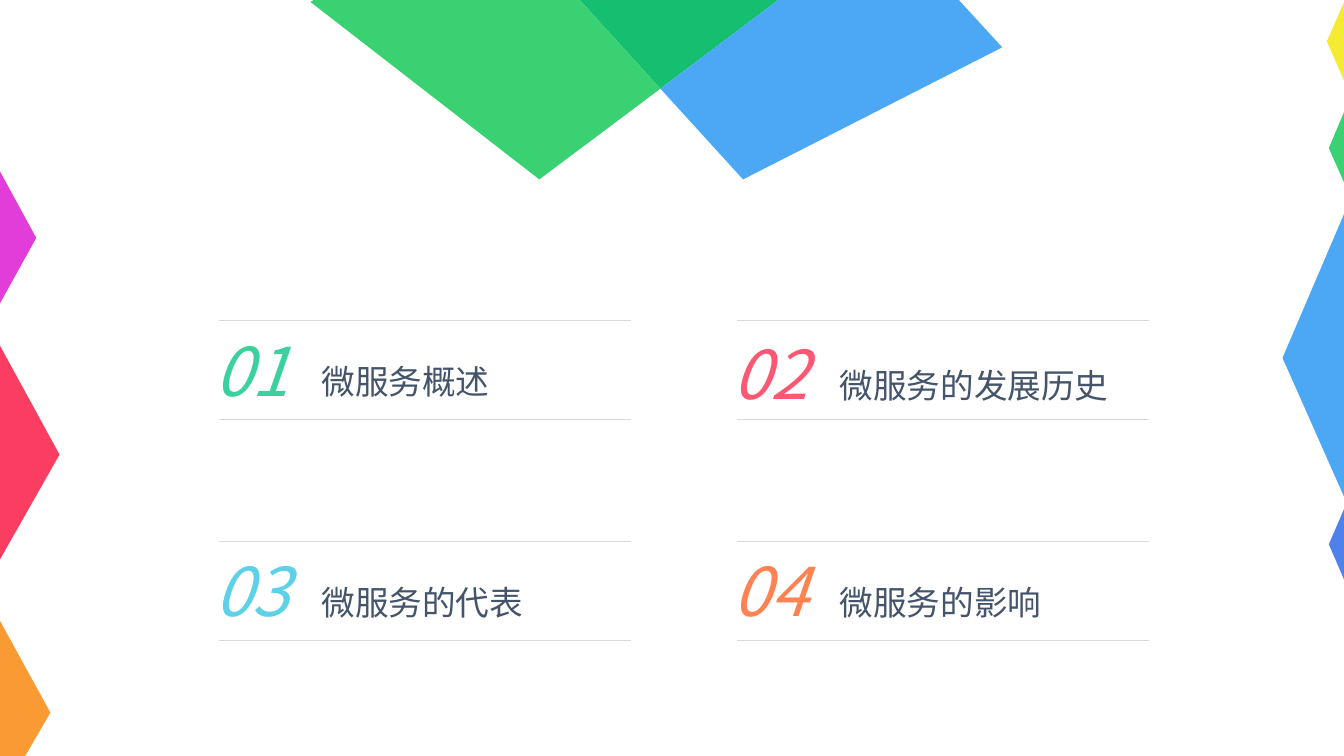
from dataclasses import dataclass

from lxml.etree import SubElement
from pptx import Presentation
from pptx.dml.color import RGBColor
from pptx.enum.shapes import MSO_CONNECTOR
from pptx.enum.text import MSO_AUTO_SIZE
from pptx.oxml.ns import qn
from pptx.util import Pt

PX = 9144


@dataclass(frozen=True)
class Theme:
    font: str = "Noto Sans CJK SC"
    ink: str = "44546A"
    rule: str = "D9D9D9"
    mint: str = "3BD19C"
    rose: str = "FC5874"
    cyan: str = "5DD1E8"
    coral: str = "FF8352"
    red: str = "FA3D60"
    orange: str = "FA9A33"
    purple: str = "E23DD8"
    yellow: str = "F6EB33"
    green: str = "3AD172"
    forest: str = "16BF70"
    blue: str = "4CA8F5"
    navy: str = "4E81E9"
    number: int = 48
    label: int = 24
    thin: float = 0.5


THEME = Theme()

TOPICS = [
    ("01", "微服务概述", THEME.mint, 322, 341),
    ("02", "微服务的发展历史", THEME.rose, 325, 345),
    ("03", "微服务的代表", THEME.cyan, 540, 560),
    ("04", "微服务的影响", THEME.coral, 540, 560),
]
LEFT, TOP = 217, 318
COL, ROW = 514, 219
WIDTH, HEIGHT = 409, 98

SHARDS = [
    (THEME.red, [(0, 343), (59, 451), (0, 555)]),
    (THEME.orange, [(0, 616), (50, 707), (25, 750), (0, 750)]),
    (THEME.purple, [(0, 170), (36, 236), (0, 301)]),
    (THEME.yellow, [(1334, 0), (1334, 82), (1316, 41)]),
    (THEME.green, [(1334, 109), (1334, 183), (1318, 147)]),
    (THEME.navy, [(1334, 503), (1334, 577), (1318, 540)]),
    (THEME.blue, [(1334, 210), (1334, 495), (1272, 355)]),
    (THEME.forest, [(772, 0), (655, 88), (575, 0)]),
    (THEME.green, [(311, 0), (575, 0), (655, 88), (535, 178), (308, 2)]),
    (THEME.blue, [(951, 0), (994, 47), (737, 178), (655, 88), (772, 0)]),
]


def color(code):
    return RGBColor.from_string(code)


def add_text(shapes, text, *, box, size, ink, italic=False, wrap=True, space=None):
    frame = shapes.add_textbox(*(n * PX for n in box)).text_frame
    frame.word_wrap = wrap
    frame.auto_size = MSO_AUTO_SIZE.SHAPE_TO_FIT_TEXT
    line = frame.paragraphs[0]
    line.line_spacing = space
    run = line.add_run()
    run.text = text
    font = run.font
    font.size = Pt(size)
    if italic:
        font.italic = True
    font.color.rgb = color(ink)
    font.name = THEME.font
    SubElement(run._r.get_or_add_rPr(), qn("a:ea"), typeface=THEME.font)


def add_rule(shapes, left, top):
    rule = shapes.add_connector(
        MSO_CONNECTOR.STRAIGHT, left * PX, top * PX, (left + WIDTH) * PX, top * PX
    )
    rule.line.color.rgb = color(THEME.rule)
    rule.line.width = Pt(THEME.thin)
    SubElement(rule._element.spPr, qn("a:effectLst"))


def add_shard(shapes, fill, points):
    pen = shapes.build_freeform(*points[0], scale=PX)
    pen.add_line_segments(points[1:], close=True)
    shard = pen.convert_to_shape()
    shard.shadow.inherit = False
    shard.fill.solid()
    shard.fill.fore_color.rgb = color(fill)
    shard.line.fill.background()


def add_topic(slide, index, number, label, ink, high, low):
    row, col = divmod(index, 2)
    left, top = LEFT + col * COL, TOP + row * ROW
    shapes = slide.shapes.add_group_shape().shapes
    add_text(shapes, number, box=(left - 14, high, 95, 91),
             size=THEME.number, ink=ink, italic=True, wrap=False)
    add_text(shapes, label, box=(left + 92, low, 331, 55),
             size=THEME.label, ink=THEME.ink, space=1.3)
    for edge in (top, top + HEIGHT):
        add_rule(shapes, left, edge)


def main():
    deck = Presentation()
    deck.slide_width, deck.slide_height = 1333 * PX, 750 * PX
    slide = deck.slides.add_slide(deck.slide_layouts[6])
    for index, topic in enumerate(TOPICS):
        add_topic(slide, index, *topic)
    for fill, points in SHARDS:
        add_shard(slide.shapes, fill, points)
    deck.save("out.pptx")


if __name__ == "__main__":
    main()
